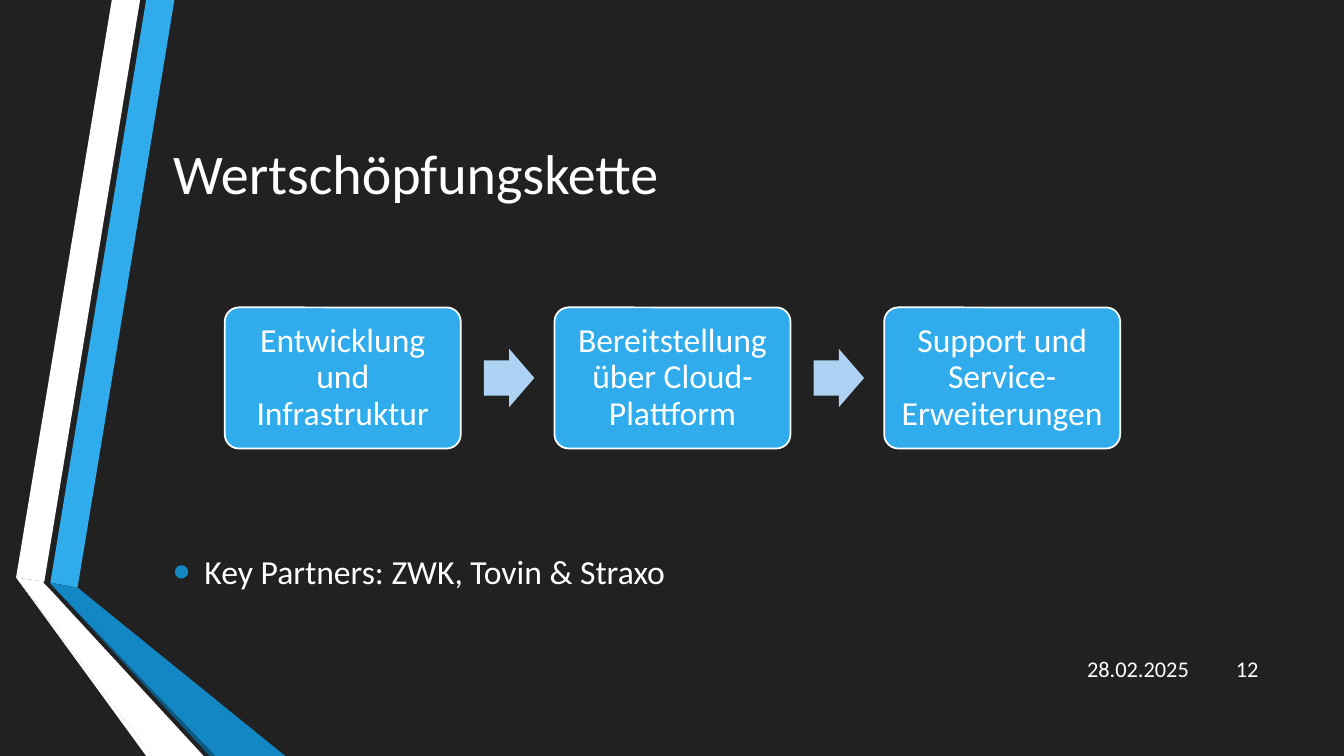
import pptx
import pptx.util
import pptx.dml.color
import pptx.enum.shapes
import pptx.enum.text
import pptx.oxml

# Content
TITLE = "Wertschöpfungskette"
STEPS = ["Entwicklung und Infrastruktur",
         "Bereitstellung über Cloud-Plattform",
         "Support und Service-Erweiterungen"]
PARTNERS = "Key Partners: ZWK, Tovin & Straxo"
DATE, NUMBER = "28.02.2025", "12"

FONT = "Calibri"
DARK, WHITE, BLUE = "212121", "FFFFFF", "30ACEC"
DEEP, SHADE, PALE = "1287C3", "0C5A82", "AED2F4"

# Ribbons down the left edge, on a grid of 100 units per inch
UNIT = 9144
RIBBONS = [
    (BLUE, [(50, 578), (77, 583), (173, 0), (145, 0)]),
    (WHITE, [(139, 0), (111, 0), (16, 573), (44, 577)]),
    (WHITE, [(16, 573), (145, 750), (151, 750)]),
    (SHADE, [(50, 579), (208, 750), (214, 750)]),
    (DEEP, [(50, 579), (214, 750), (283, 750), (77, 583), (50, 578)]),
    (WHITE, [(202, 750), (48, 583), (43, 578), (44, 577), (16, 573), (151, 750)]),
]

# Layout in inches
LEFT, WIDTH = 1.62, 10.96
STEP_LEFT, STEP_W, STEP_H, STEP_PITCH = 2.23, 2.34, 1.4, 3.27
ARROW_W, ARROW_H, ARROW_GAP = 0.5, 0.58, 0.23
MIDDLE = 3.75
FOOT_TOP, FOOT_H = 6.43, 0.4

ALIGN = pptx.enum.text.PP_ALIGN
SHAPE = pptx.enum.shapes.MSO_SHAPE


def color(value):
    return pptx.dml.color.RGBColor.from_string(value)


def paint(sp, fill, line=None):
    sp.shadow.inherit = False
    sp.fill.solid()
    sp.fill.fore_color.rgb = color(fill)
    if line:
        sp.line.color.rgb = color(line)
        sp.line.width = pptx.util.Pt(1.25)
    else:
        sp.line.fill.background()


def write(sp, text, size, align=ALIGN.LEFT):
    tf = sp.text_frame
    tf.word_wrap = True
    tf.vertical_anchor = pptx.enum.text.MSO_ANCHOR.MIDDLE
    p = tf.paragraphs[0]
    p.alignment = align
    r = p.add_run()
    r.text = text
    r.font.size = pptx.util.Pt(size)
    r.font.name = FONT
    r.font.color.rgb = color(WHITE)
    return p


def inches(*lengths):
    return [pptx.util.Inches(n) for n in lengths]


def add_text(s, box, text, size, align=ALIGN.LEFT):
    return write(s.shapes.add_textbox(*inches(*box)), text, size, align)


def add_preset(s, kind, box, adjustments, fill, line=None):
    sp = s.shapes.add_shape(kind, *inches(*box))
    for i, value in enumerate(adjustments):
        sp.adjustments[i] = value
    paint(sp, fill, line)
    return sp


def add_bullet(p):
    pPr = p._p.get_or_add_pPr()
    indent = pptx.util.Inches(0.31)
    pPr.set("marL", str(indent))
    pPr.set("indent", str(-indent))
    ns = 'xmlns:a="http://schemas.openxmlformats.org/drawingml/2006/main"'
    for xml in (f'<a:buClr {ns}><a:srgbClr val="{DEEP}"/></a:buClr>',
                f'<a:buSzPct {ns} val="145000"/>',
                f'<a:buFont {ns} typeface="Arial"/>',
                f'<a:buChar {ns} char="•"/>'):
        pPr.append(pptx.oxml.parse_xml(xml))


def main():
    prs = pptx.Presentation()
    prs.slide_width, prs.slide_height = inches(13.33, 7.5)
    s = prs.slides.add_slide(prs.slide_layouts[6])
    s.background.fill.solid()
    s.background.fill.fore_color.rgb = color(DARK)

    # Ribbons
    for fill, points in RIBBONS:
        outline = s.shapes.build_freeform(*points[0], scale=UNIT)
        outline.add_line_segments(points[1:], close=True)
        paint(outline.convert_to_shape(), fill)

    # Title and footer
    add_text(s, (LEFT, 0.75, WIDTH, 1.92), TITLE, 40)
    add_text(s, (11.98, FOOT_TOP, 0.6, FOOT_H), NUMBER, 16, ALIGN.RIGHT)
    add_text(s, (10.64, FOOT_TOP, 1.25, FOOT_H), DATE, 16, ALIGN.RIGHT)

    # Value chain: boxes with an arrow before each one but the first
    for i, step in enumerate(STEPS):
        x = STEP_LEFT + i * STEP_PITCH
        if i:
            box = (x - ARROW_GAP + 0.03 - ARROW_W, MIDDLE - ARROW_H / 2, ARROW_W, ARROW_H)
            add_preset(s, SHAPE.RIGHT_ARROW, box, (0.6, 0.5), PALE)
        box = (x, MIDDLE - STEP_H / 2, STEP_W, STEP_H)
        sp = add_preset(s, SHAPE.ROUNDED_RECTANGLE, box, (0.1,), BLUE, WHITE)
        tf = sp.text_frame
        tf.margin_left, tf.margin_top, tf.margin_right, tf.margin_bottom = inches(*[0.1] * 4)
        write(sp, step, 24, ALIGN.CENTER).line_spacing = 0.9

    # Partners
    p = add_text(s, (LEFT, 5.01, WIDTH, 1.32), PARTNERS, 24)
    p.space_before, p.space_after = pptx.util.Pt(4.8), pptx.util.Pt(6)
    add_bullet(p)

    prs.save("out.pptx")


if __name__ == "__main__":
    main()
